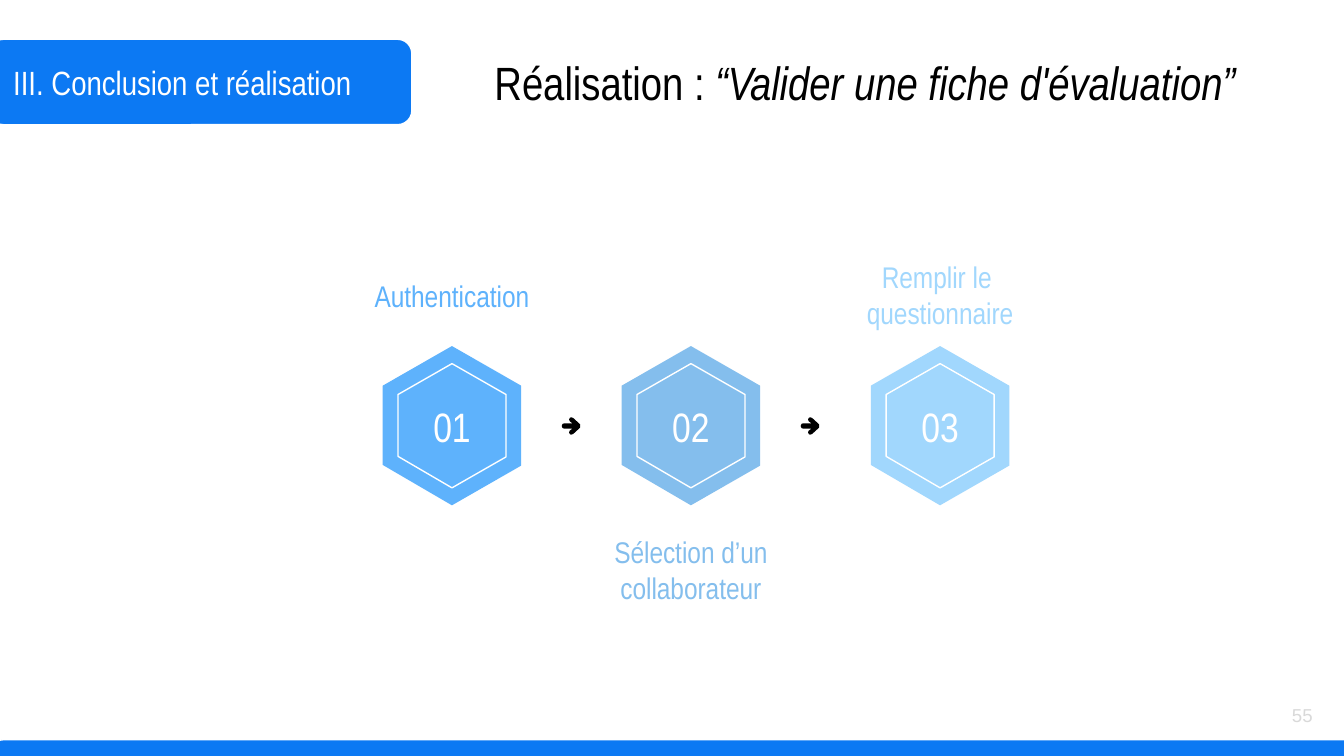
from pptx import Presentation, util as u
from pptx.dml.color import RGBColor
from pptx.enum import shapes, text

COLUMNS, ROWS = 100, 56.25  # square cells, a tenth of an inch
CELL = u.Inches(0.1)
COLORS = {
    "white": "FFFFFF", "black": "000000", "banner": "0C79F3", "number": "D9D9D9",
    "login": "5EB2FC", "selection": "84BEED", "form": "A1D7FD",
}

# Outlines around their centre, in cells
HEXAGON = [(0, -5.95), (-5.15, -3), (-5.15, 2.9), (0, 5.9), (5.15, 2.95), (5.15, -3)]
ARROW_TOP = [(-0.7, 0), (-0.64, -0.15), (-0.5, -0.2), (0.1, -0.2), (-0.1, -0.35),
             (-0.15, -0.48), (-0.1, -0.6), (0, -0.65), (0.15, -0.6), (0.67, -0.12)]
ARROW = ARROW_TOP + [(x, -y) for x, y in reversed(ARROW_TOP[1:])]


def rgb(name):
    return RGBColor.from_string(COLORS[name])


def write(shape, paragraphs, size=16, color="white", align="CENTER", font="Arial Narrow"):
    """Each paragraph is a list of (words, italic) runs or a plain string."""
    frame = shape.text_frame
    frame.word_wrap = True
    frame.vertical_anchor = text.MSO_ANCHOR.MIDDLE
    frame.margin_left = frame.margin_right = CELL
    frame.margin_top = frame.margin_bottom = CELL
    for index, runs in enumerate(paragraphs):
        paragraph = frame.add_paragraph() if index else frame.paragraphs[0]
        paragraph.alignment = getattr(text.PP_ALIGN, align)
        for words, italic in [(runs, False)] if isinstance(runs, str) else runs:
            run = paragraph.add_run()
            run.text = words
            run.font.name, run.font.size = font, u.Pt(size)
            run.font.italic = italic
            run.font.color.rgb = rgb(color)


class Deck:
    def __init__(self):
        self.show = Presentation()
        self.show.slide_width = int(COLUMNS * CELL)
        self.show.slide_height = int(ROWS * CELL)
        self.slide = self.show.slides.add_slide(self.show.slide_layouts[6])

    def paint(self, shape, fill=None, line=None):
        shape.shadow.inherit = False
        if fill:
            shape.fill.solid()
            shape.fill.fore_color.rgb = rgb(fill)
        else:
            shape.fill.background()
        if line:
            shape.line.color.rgb = rgb(line)
            shape.line.width = u.Pt(0.75)
        else:
            shape.line.fill.background()
        return shape

    def label(self, box, paragraphs, **style):
        shape = self.slide.shapes.add_textbox(*(int(v * CELL) for v in box))
        write(shape, paragraphs, **style)

    def banner(self, box):
        shape = self.slide.shapes.add_shape(
            shapes.MSO_SHAPE.ROUNDED_RECTANGLE, *(int(v * CELL) for v in box))
        self.paint(shape, "banner", "white")

    def outline(self, points, column, row, scale=1, fill=None, line=None):
        placed = [(int((column + x * scale) * CELL), int((row + y * scale) * CELL))
                  for x, y in points]
        builder = self.slide.shapes.build_freeform(*placed[0])
        builder.add_line_segments(placed[1:], close=True)
        return self.paint(builder.convert_to_shape(), fill, line)


def main():
    deck = Deck()

    # Title and section banner
    deck.label((30, 3.3, 68.7, 5.6),
               [[("Réalisation : ", False), ("“Valider une fiche d'évaluation”", True)]],
               size=25, color="black")
    deck.banner((-0.8, 2.92, 31.45, 6.36))
    deck.label((0, 4.7, 29.6, 2.8), ["III. Conclusion et réalisation"],
               size=18, align="LEFT")

    # Footer band and page number
    deck.banner((-0.8, 55.04, 105.3, 6.36))
    deck.label((92.65, 51.05, 6, 4.3), ["55"], size=10, color="number",
               align="RIGHT", font="Arial")

    # Steps: centre column, top row of the label, label, colour
    steps = [
        (33.63, 19.25, ["Authentication"], "login"),
        (51.41, 39.65, ["Sélection d’un collaborateur"], "selection"),
        (69.95, 19.15, ["Remplir le ", "questionnaire"], "form"),
    ]
    middle = 31.7
    for number, (column, label_row, caption, color) in enumerate(steps, 1):
        badge = deck.outline(HEXAGON, column, middle, fill=color)
        write(badge, [f"{number:02}"], size=22)
        deck.label((column - 8.45, label_row, 16.9, 5.5), caption, color=color)
        deck.outline(HEXAGON, column, middle, scale=0.78, line="white")

    # Arrows after every step but the last
    for column, *_ in steps[:-1]:
        deck.outline(ARROW, column + 8.87, middle, fill="black")

    deck.show.save("out.pptx")


if __name__ == "__main__":
    main()
